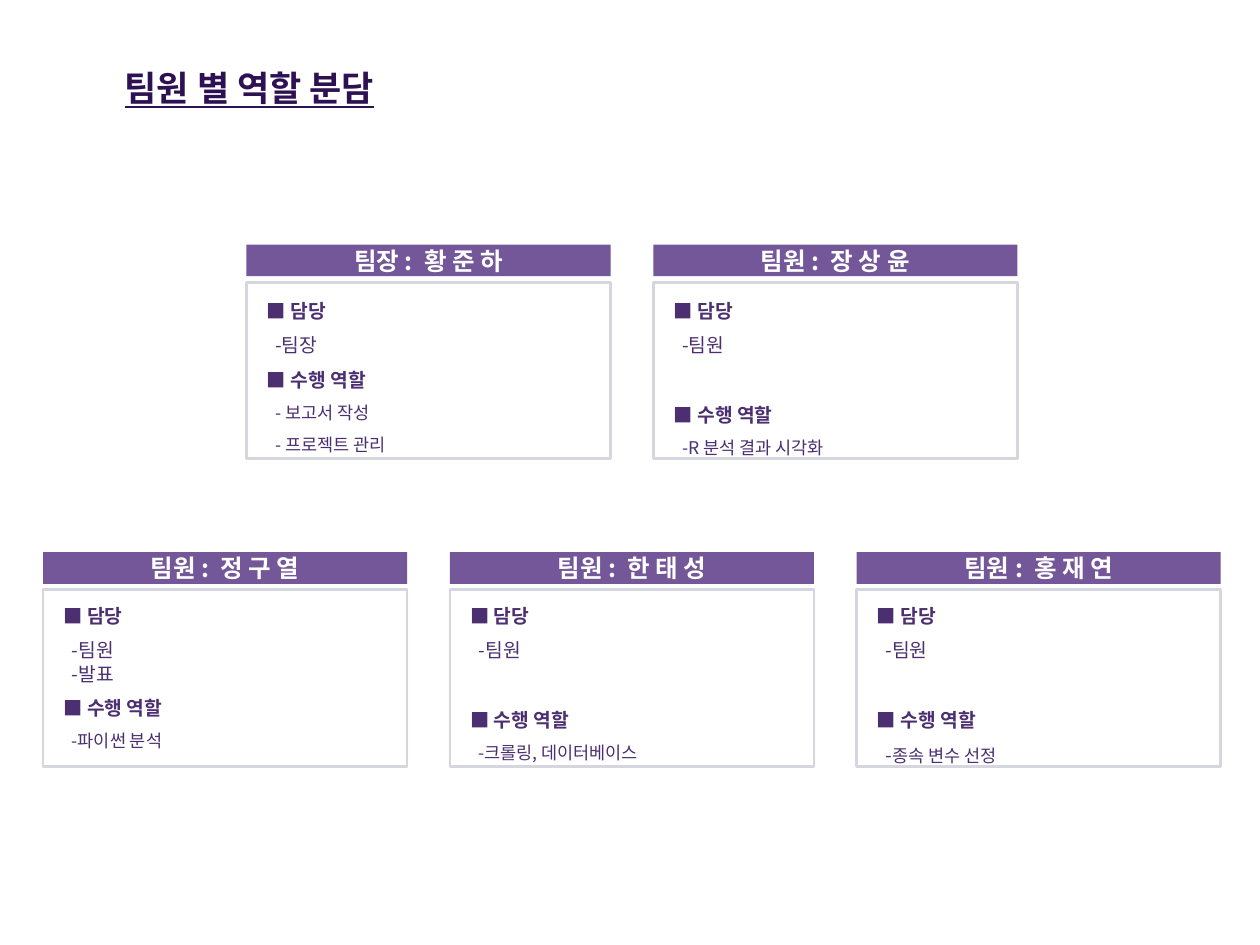
from dataclasses import dataclass

from lxml.etree import SubElement
from pptx import Presentation
from pptx.dml.color import RGBColor
from pptx.enum.shapes import MSO_SHAPE
from pptx.enum.text import MSO_ANCHOR, MSO_AUTO_SIZE, PP_ALIGN
from pptx.oxml.ns import qn
from pptx.util import Cm, Pt


@dataclass(frozen=True)
class Theme:
    title_color: RGBColor = RGBColor(0x2D, 0x11, 0x52)
    header_fill: RGBColor = RGBColor(0x73, 0x57, 0x98)
    header_text: RGBColor = RGBColor(0xFF, 0xFF, 0xFF)
    frame_line: RGBColor = RGBColor(0xD6, 0xD7, 0xDE)
    body_text: RGBColor = RGBColor(0x4B, 0x2F, 0x70)
    title_font: str = "Arial"
    korean_font: str = "Noto Sans CJK KR"
    title_size: int = 20
    header_size: int = 14
    body_size: int = 11
    task_size: int = 10


# Card grid, in centimetres
CARD_WIDTH, CARD_PITCH = 7.34, 8.2
HEADER_HEIGHT = 0.64
FRAME_OFFSET, FRAME_HEIGHT = 0.76, 3.56
TEXT_INSET = 0.16
ITEM_INDENT = 0.17

# Each row: left, top, offset of the text from the top, members.
# Each member: name line, duties, tasks, size of the task dash.
ROWS = [
    (4.97, 4.93, 0.74, [
        ("팀장 :  황 준 하", ["-팀장"], ["- 보고서 작성", "- 프로젝트 관리"], 10),
        ("팀원 :  장 상 윤", ["-팀원"], ["-R 분석 결과 시각화"], 10),
    ]),
    (0.87, 11.13, 0.69, [
        ("팀원 :  정 구 열", ["-팀원", "-발표"], ["-파이썬 분석"], 10),
        ("팀원 :  한 태 성", ["-팀원"], ["-크롤링, 데이터베이스"], 10),
        ("팀원 :  홍 재 연", ["-팀원"], ["-종속 변수 선정"], 11),
    ]),
]


class RoleSlide:
    def __init__(self, slide, theme):
        self.slide = slide
        self.theme = theme

    def format(self, paragraph, size, color, bold=False, name=None):
        font = paragraph.font
        font.size, font.bold = Pt(size), bold
        font.color.rgb = color
        font.name = name or self.theme.korean_font
        properties = paragraph._p.get_or_add_pPr().get_or_add_defRPr()
        SubElement(properties, qn("a:ea"), typeface=self.theme.korean_font)

    def title(self, text):
        shape = self.slide.shapes.title
        shape.left, shape.top, shape.width, shape.height = Cm(2.26), Cm(1.22), Cm(6.25), Cm(1.12)
        frame = shape.text_frame
        frame.text = text
        frame.word_wrap = False
        frame.auto_size = MSO_AUTO_SIZE.NONE
        frame.vertical_anchor = MSO_ANCHOR.TOP
        paragraph = frame.paragraphs[0]
        paragraph.alignment = PP_ALIGN.LEFT
        self.format(paragraph, self.theme.title_size, self.theme.title_color, True, self.theme.title_font)
        paragraph.font.underline = True

    def rectangle(self, group, left, top, height):
        shape = group.shapes.add_shape(
            MSO_SHAPE.RECTANGLE, Cm(left), Cm(top), Cm(CARD_WIDTH), Cm(height))
        shape.shadow.inherit = False
        return shape

    def panel(self, left, top, name):
        group = self.slide.shapes.add_group_shape()
        # Name bar
        header = self.rectangle(group, left, top, HEADER_HEIGHT)
        header.fill.solid()
        header.fill.fore_color.rgb = self.theme.header_fill
        header.line.fill.background()
        header.text_frame.text = name
        header.text_frame.vertical_anchor = MSO_ANCHOR.MIDDLE
        paragraph = header.text_frame.paragraphs[0]
        paragraph.alignment = PP_ALIGN.CENTER
        self.format(paragraph, self.theme.header_size, self.theme.header_text, True)
        # Outline
        outline = self.rectangle(group, left, top + FRAME_OFFSET, FRAME_HEIGHT)
        outline.fill.background()
        outline.line.color.rgb = self.theme.frame_line
        outline.line.width = Pt(1.5)

    def line(self, frame, text, size, bold=False, indent=0.0, spacing=1.5):
        paragraph = frame.paragraphs[0] if not frame.text else frame.add_paragraph()
        paragraph.line_spacing = spacing
        paragraph._p.get_or_add_pPr().set("marL", str(Cm(indent)))
        self.format(paragraph, size, self.theme.body_text, bold)
        paragraph.add_run().text = text
        return paragraph

    def roles(self, left, top, duties, tasks, dash_size):
        theme = self.theme
        box = self.slide.shapes.add_textbox(
            Cm(left + TEXT_INSET), Cm(top), Cm(CARD_WIDTH - 2 * TEXT_INSET), Cm(3.7))
        frame = box.text_frame
        frame.word_wrap = True
        # Duties
        self.line(frame, "■ 담당", theme.body_size, bold=True)
        for index, duty in enumerate(duties):
            self.line(frame, duty, theme.body_size, indent=ITEM_INDENT,
                      spacing=1.0 if index else 1.5)
        # Tasks
        heading = self.line(frame, "■ 수행 역할", theme.body_size, bold=True)
        if len(duties) + len(tasks) == 2:
            heading.space_before = Pt(20)
        for task in tasks:
            if dash_size == theme.task_size:
                self.line(frame, task, theme.task_size, indent=ITEM_INDENT)
            else:
                paragraph = self.line(frame, task[0], theme.task_size, indent=ITEM_INDENT)
                paragraph.runs[0].font.size = Pt(dash_size)
                paragraph.add_run().text = task[1:]


def main():
    presentation = Presentation()
    presentation.slide_width, presentation.slide_height = Cm(25.4), Cm(19.05)
    title_only = presentation.slide_layouts[5]
    page = RoleSlide(presentation.slides.add_slide(title_only), Theme())

    page.title("팀원 별 역할 분담")
    for row_left, top, text_offset, members in ROWS:
        for column, (name, duties, tasks, dash_size) in enumerate(members):
            left = row_left + column * CARD_PITCH
            page.panel(left, top, name)
            page.roles(left, top + text_offset, duties, tasks, dash_size)

    presentation.save("out.pptx")


if __name__ == "__main__":
    main()
